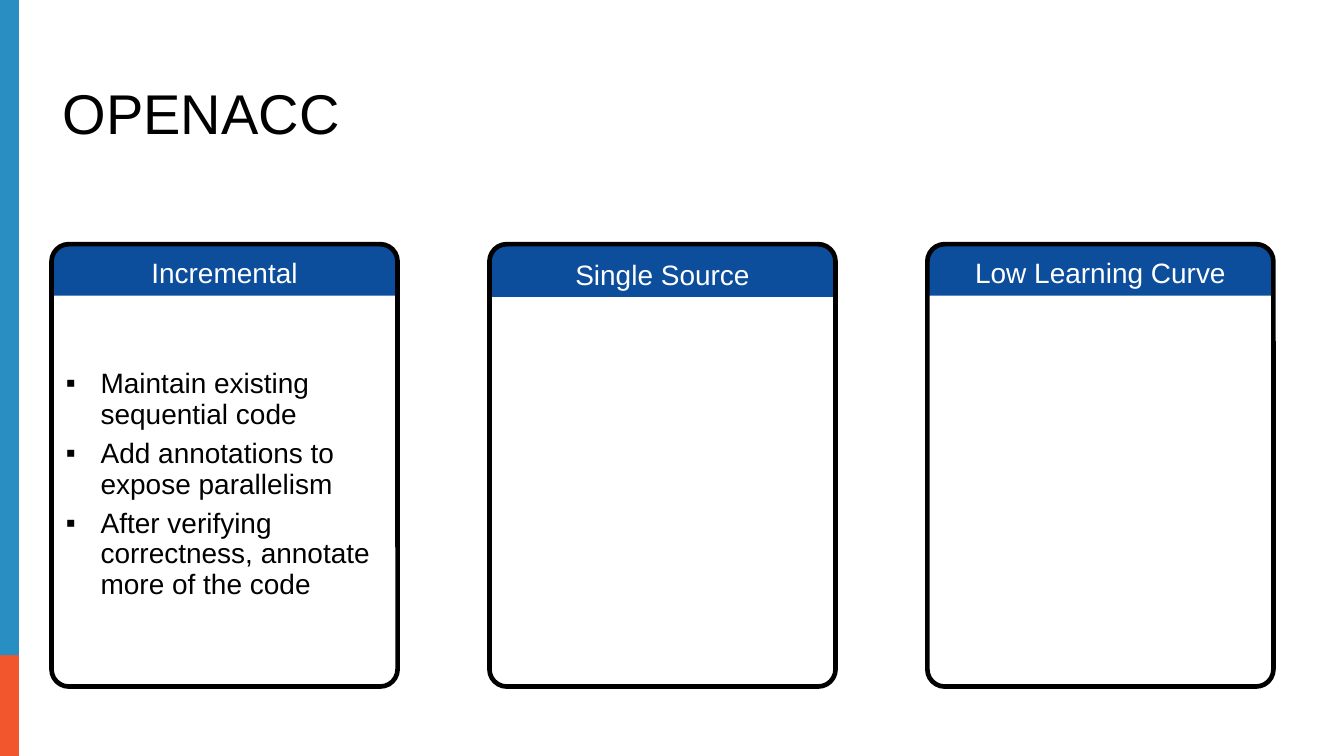
"""Build the OpenACC slide with its three benefit cards."""
from lxml import etree
from pptx import Presentation
from pptx.dml.color import RGBColor
from pptx.enum import shapes, text
from pptx.oxml import ns
from pptx.util import Inches, Pt

THEME = {
    "font": "Arial",
    "ink": RGBColor.from_string("000000"),
    "paper": RGBColor.from_string("FFFFFF"),
    "header": RGBColor.from_string("0C4E9B"),
    "blue": RGBColor.from_string("298EC2"),
    "orange": RGBColor.from_string("F1562D"),
    "title_size": Pt(36),
    "body_size": Pt(18),
    "outline": Pt(3),
}
CARD_TOP, CARD_WIDTH, CARD_HEIGHT, HEADER_HEIGHT = 2.18, 3.09, 3.95, 0.46
CARD_LEFT, CARD_STEP = 0.46, 3.91


def add_panel(preset, left, top, width, height, fill=None):
    panel = slide.shapes.add_shape(
        preset, Inches(left), Inches(top), Inches(width), Inches(height))
    panel.shadow.inherit = False
    panel.line.fill.background()
    if fill is None:
        panel.fill.background()
    else:
        panel.fill.solid()
        panel.fill.fore_color.rgb = fill
    return panel


def style_text(paragraph, size, color):
    for run in paragraph.runs:
        run.font.name = THEME["font"]
        run.font.size = size
        run.font.color.rgb = color


presentation = Presentation()
presentation.slide_width = Inches(12)
presentation.slide_height = Inches(6.75)
slide = presentation.slides.add_slide(presentation.slide_layouts[5])
slide.background.fill.solid()
slide.background.fill.fore_color.rgb = THEME["paper"]

for top, height, color in ((5.85, 0.9, "orange"), (0, 5.85, "blue")):
    add_panel(shapes.MSO_SHAPE.RECTANGLE, 0, top, 0.17, height, THEME[color])

title = slide.shapes.title
title.left, title.top = Inches(CARD_LEFT), Inches(0.71)
title.width, title.height = Inches(10.91), Inches(0.65)
title.text_frame.text = "OPENACC"
title.text_frame.vertical_anchor = text.MSO_ANCHOR.BOTTOM
title.text_frame.auto_size = text.MSO_AUTO_SIZE.NONE
heading = title.text_frame.paragraphs[0]
heading.alignment = text.PP_ALIGN.LEFT
heading.line_spacing = 0.9
style_text(heading, THEME["title_size"], THEME["ink"])

cards = (("Incremental", 0), ("Single Source", 0.01), ("Low Learning Curve", 0))
for column, (benefit, drop) in enumerate(cards):
    left = CARD_LEFT + column * CARD_STEP
    header = add_panel(shapes.MSO_SHAPE.SNIP_2_SAME_RECTANGLE, left, CARD_TOP + drop,
                       CARD_WIDTH, HEADER_HEIGHT, THEME["header"])
    header.adjustments[0] = 0.22
    header.adjustments[1] = 0
    header.text_frame.text = benefit
    header.text_frame.vertical_anchor = text.MSO_ANCHOR.MIDDLE
    header.text_frame.paragraphs[0].alignment = text.PP_ALIGN.CENTER
    style_text(header.text_frame.paragraphs[0], THEME["body_size"], THEME["paper"])

    outline = add_panel(shapes.MSO_SHAPE.ROUNDED_RECTANGLE, left, CARD_TOP,
                        CARD_WIDTH, CARD_HEIGHT)
    outline.adjustments[0] = 0.05
    outline.line.color.rgb = THEME["ink"]
    outline.line.width = THEME["outline"]

steps = slide.shapes.add_textbox(
    Inches(0.49), Inches(3.24), Inches(CARD_WIDTH), Inches(2.18)).text_frame
steps.word_wrap = True
steps.vertical_anchor = text.MSO_ANCHOR.MIDDLE
steps.text = "\n".join((
    "Maintain existing sequential code",
    "Add annotations to expose parallelism",
    "After verifying correctness, annotate more of the code",
))
for number, step in enumerate(steps.paragraphs):
    properties = step._p.get_or_add_pPr()
    properties.set("marL", str(Inches(0.31)))
    properties.set("indent", str(Inches(-0.31)))
    bullet_color = etree.SubElement(properties, ns.qn("a:buClr"))
    etree.SubElement(bullet_color, ns.qn("a:srgbClr"), val=str(THEME["ink"]))
    etree.SubElement(properties, ns.qn("a:buFont"), typeface=THEME["font"])
    etree.SubElement(properties, ns.qn("a:buChar"), char="▪")
    step.line_spacing = 0.9
    if number:
        step.space_before = Pt(6)
    style_text(step, THEME["body_size"], THEME["ink"])

presentation.save("out.pptx")
